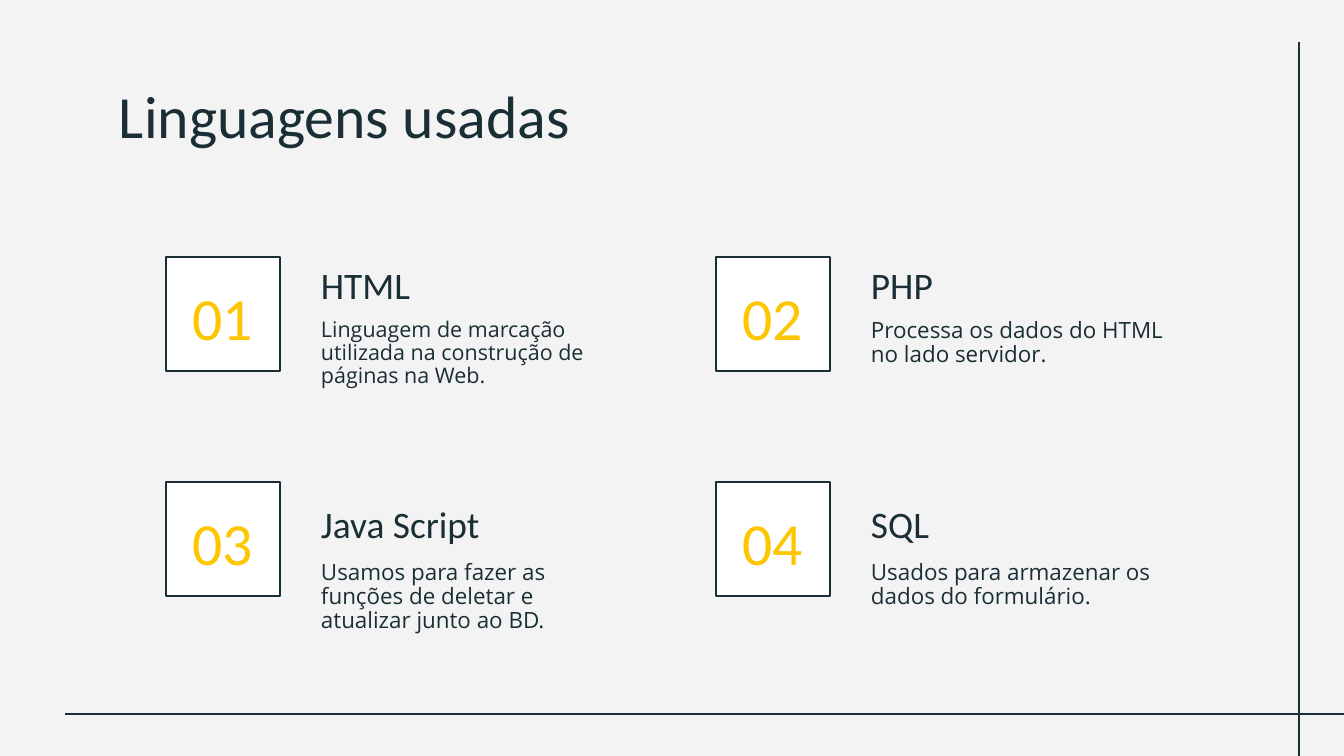
from lxml import etree
from pptx import Presentation, util as u
from pptx.dml.color import RGBColor
from pptx.enum import shapes, text
from pptx.oxml.ns import qn

INK, YELLOW, WHITE, PAPER = "1A2E35", "FEC600", "FFFFFF", "F3F3F3"
TOP, MIDDLE, BOTTOM = text.MSO_ANCHOR.TOP, text.MSO_ANCHOR.MIDDLE, text.MSO_ANCHOR.BOTTOM


def px(*lengths):
    return [u.Emu(round(length * 914400 / 134.4)) for length in lengths]


def write(shape, words, size, anchor, font="Calibri", color=INK):
    frame = shape.text_frame
    frame.word_wrap = True
    frame.vertical_anchor = anchor
    frame.margin_left, frame.margin_top, frame.margin_right, frame.margin_bottom = px(13, 13, 13, 13)
    run = frame.paragraphs[0].add_run()
    run.text = words
    run.font.size = u.Pt(size)
    run.font.name = font
    run.font.color.rgb = RGBColor.from_string(color)
    return frame


presentation = Presentation()
presentation.slide_width, presentation.slide_height = px(1344, 756)
slide = presentation.slides.add_slide(presentation.slide_layouts[6])
slide.background.fill.solid()
slide.background.fill.fore_color.rgb = RGBColor.from_string(PAPER)

# Frame lines at the bottom and right
for ends in ((65, 714, 1344, 714), (1299, 42, 1299, 756)):
    line = slide.shapes.add_connector(shapes.MSO_CONNECTOR.STRAIGHT, *px(*ends))
    line.line.width = u.Pt(0.75)
    line.line.color.rgb = RGBColor.from_string(INK)
    etree.SubElement(line._element.spPr, qn("a:effectLst"))

# Title
title = slide.shapes.add_textbox(*px(106, 66, 1133, 85))
write(title, "Linguagens usadas", 32, TOP)

# Languages, two by two: name, description, description size
languages = (
    ("HTML", "Linguagem de marcação utilizada na construção de páginas na Web.", 11.5),
    ("PHP", "Processa os dados do HTML no lado servidor.", 12),
    ("Java Script", "Usamos para fazer as funções de deletar e atualizar junto ao BD.", 12),
    ("SQL", "Usados para armazenar os dados do formulário.", 12),
)
rows = ((257, 206, 306), (482, 445, 548))  # tops of square, name, description

for index, (name, description, size) in enumerate(languages):
    row, column = divmod(index, 2)
    square_top, name_top, description_top = rows[row]
    left = 166 + 550 * column

    # Numbered square
    square = slide.shapes.add_shape(shapes.MSO_SHAPE.RECTANGLE, *px(left, square_top, 114, 114))
    square.shadow.inherit = False
    square.fill.solid()
    square.fill.fore_color.rgb = RGBColor.from_string(WHITE)
    square.line.width = u.Pt(0.75)
    square.line.color.rgb = RGBColor.from_string(INK)
    number = write(square, f"{index + 1:02}", 32, MIDDLE, color=YELLOW)
    number.margin_top = px(19)[0]
    number.paragraphs[0].alignment = text.PP_ALIGN.CENTER

    # Name and description
    heading = slide.shapes.add_textbox(*px(left + 142, name_top, 320, 114))
    write(heading, name, 20, BOTTOM)
    body = slide.shapes.add_textbox(*px(left + 142, description_top, 320, 85))
    write(body, description, size, TOP, font="Open Sans").paragraphs[0].line_spacing = 0.9

presentation.save("out.pptx")
